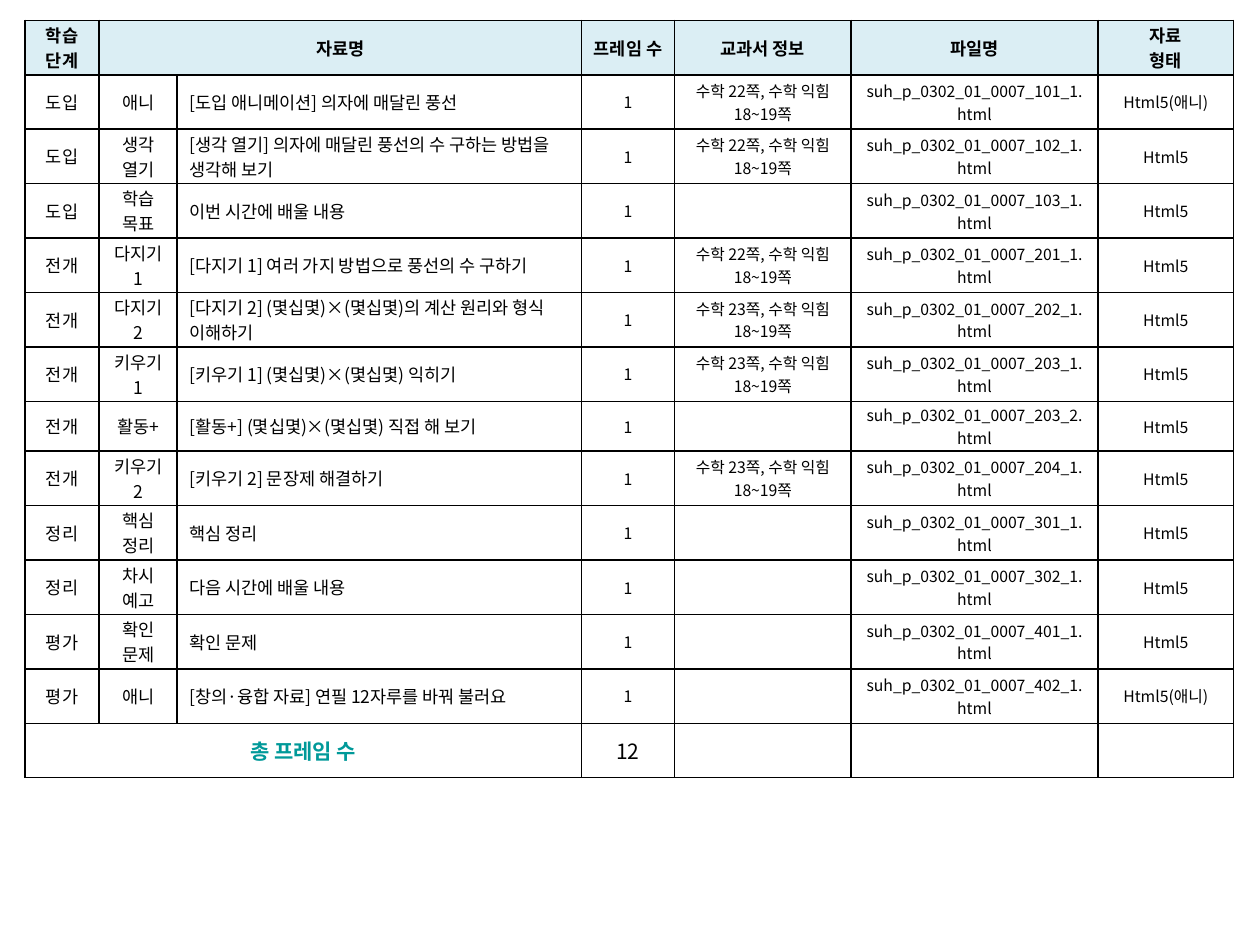
"""Build a slide listing the lesson materials of a mathematics unit in one table."""
from dataclasses import dataclass
from typing import Optional

import pptx
import pptx.dml.color
import pptx.enum.text
import pptx.oxml
import pptx.oxml.ns
import pptx.util

EMU_PER_PX = 914400 // 192
CENTER = pptx.enum.text.PP_ALIGN.CENTER
LEFT = pptx.enum.text.PP_ALIGN.LEFT


@dataclass(frozen=True)
class Theme:
    font: str = "Noto Sans CJK KR"
    ink: str = "000000"
    accent: str = "009999"
    header: str = "DBEEF4"
    paper: str = "FFFFFF"
    label_size: int = 10
    detail_size: int = 9
    total_size: int = 12
    border_pt: int = 1


@dataclass(frozen=True)
class Style:
    size: int
    color: str
    bold: bool = False
    align: pptx.enum.text.PP_ALIGN = CENTER
    fill: Optional[str] = None


@dataclass(frozen=True)
class Material:
    stage: str
    kind: str
    title: str
    textbook_page: Optional[int]
    file_code: str
    form: str = "Html5"

    def texts(self) -> list[str]:
        page = self.textbook_page
        textbook = f"수학 {page}쪽, 수학 익힘 18~19쪽" if page else ""
        filename = f"suh_p_0302_01_0007_{self.file_code}.html"
        return [self.stage, self.kind, self.title, "1", textbook, filename, self.form]


THEME = Theme()
TABLE_LEFT, TABLE_TOP = 38, 31
COLUMN_WIDTHS = [113, 119, 616, 142, 269, 376, 207]
ROW_HEIGHT, ACTIVITY_HEIGHT = 83, 76
SIDE_MARGIN, END_MARGIN = 19, 2

HEADINGS = ["학습 단계", "자료명", "", "프레임 수", "교과서 정보", "파일명", "자료\n형태"]
MATERIALS = [
    Material("도입", "애니", "[도입 애니메이션] 의자에 매달린 풍선", 22, "101_1", "Html5(애니)"),
    Material("도입", "생각 열기", "[생각 열기] 의자에 매달린 풍선의 수 구하는 방법을 생각해 보기", 22, "102_1"),
    Material("도입", "학습 목표", "이번 시간에 배울 내용", None, "103_1"),
    Material("전개", "다지기 1", "[다지기 1] 여러 가지 방법으로 풍선의 수 구하기", 22, "201_1"),
    Material("전개", "다지기 2", "[다지기 2] (몇십몇)×(몇십몇)의 계산 원리와 형식 이해하기", 23, "202_1"),
    Material("전개", "키우기1", "[키우기 1] (몇십몇)×(몇십몇) 익히기", 23, "203_1"),
    Material("전개", "활동+", "[활동+] (몇십몇)×(몇십몇) 직접 해 보기", None, "203_2"),
    Material("전개", "키우기2", "[키우기 2] 문장제 해결하기", 23, "204_1"),
    Material("정리", "핵심 정리", "핵심 정리", None, "301_1"),
    Material("정리", "차시 예고", "다음 시간에 배울 내용", None, "302_1"),
    Material("평가", "확인 문제", "확인 문제", None, "401_1"),
    Material("평가", "애니", "[창의·융합 자료] 연필 12자루를 바꿔 불러요", None, "402_1", "Html5(애니)"),
]
TOTALS = ["총 프레임 수", "", "", str(len(MATERIALS)), "", "", ""]

HEADING = Style(THEME.label_size, THEME.ink, bold=True, fill=THEME.header)
TOTAL_LABEL = Style(THEME.total_size, THEME.accent, bold=True, fill=THEME.paper)
TOTAL_VALUE = Style(THEME.total_size, THEME.ink, fill=THEME.paper)


def px(length: int) -> pptx.util.Emu:
    return pptx.util.Emu(length * EMU_PER_PX)


def material_styles(material: Material) -> list[Style]:
    fill = THEME.paper if material.stage == "평가" else None
    label = Style(THEME.label_size, THEME.ink, fill=fill)
    title = Style(THEME.label_size, THEME.ink, align=LEFT, fill=fill)
    detail = Style(THEME.detail_size, THEME.ink, fill=fill)
    return [label, label, title] + [detail] * 4


def add_borders(cell: pptx.table._Cell) -> None:
    properties = cell._tc.get_or_add_tcPr()
    for side in ("lnL", "lnR", "lnT", "lnB"):
        properties.append(pptx.oxml.parse_xml(
            f'<a:{side} {pptx.oxml.ns.nsdecls("a")} w="{pptx.util.Pt(THEME.border_pt)}">'
            f'<a:solidFill><a:srgbClr val="{THEME.ink}"/></a:solidFill></a:{side}>'))


def style_paragraph(paragraph: pptx.text.text._Paragraph, style: Style) -> None:
    paragraph.alignment = style.align
    font = paragraph.font
    font.name = THEME.font
    font.size = pptx.util.Pt(style.size)
    font.bold = style.bold
    font.color.rgb = pptx.dml.color.RGBColor.from_string(style.color)
    font._rPr.append(pptx.oxml.parse_xml(
        f'<a:ea {pptx.oxml.ns.nsdecls("a")} typeface="{THEME.font}"/>'))


def fill_cell(cell: pptx.table._Cell, text: str, style: Style) -> None:
    add_borders(cell)
    if style.fill:
        cell.fill.solid()
        cell.fill.fore_color.rgb = pptx.dml.color.RGBColor.from_string(style.fill)
    else:
        cell.fill.background()
    cell.vertical_anchor = pptx.enum.text.MSO_ANCHOR.MIDDLE
    cell.margin_left = cell.margin_right = px(SIDE_MARGIN)
    cell.margin_top = cell.margin_bottom = px(END_MARGIN)
    cell.text_frame.text = text
    for paragraph in cell.text_frame.paragraphs:
        style_paragraph(paragraph, style)


def add_materials_table(slide: pptx.slide.Slide) -> None:
    lines = [(HEADINGS, [HEADING] * len(HEADINGS))]
    lines += [(material.texts(), material_styles(material)) for material in MATERIALS]
    lines.append((TOTALS, [TOTAL_LABEL] * 3 + [TOTAL_VALUE] * 4))
    heights = [ROW_HEIGHT] + [
        ACTIVITY_HEIGHT if material.kind == "활동+" else ROW_HEIGHT for material in MATERIALS
    ] + [ROW_HEIGHT]

    table = slide.shapes.add_table(
        len(lines), len(COLUMN_WIDTHS), px(TABLE_LEFT), px(TABLE_TOP),
        px(sum(COLUMN_WIDTHS)), px(sum(heights))).table
    table.first_row = table.horz_banding = False
    for column, width in zip(table.columns, COLUMN_WIDTHS):
        column.width = px(width)
    for row, height, (texts, styles) in zip(table.rows, heights, lines):
        row.height = px(height)
        for cell, text, style in zip(row.cells, texts, styles):
            fill_cell(cell, text, style)
    last = len(lines) - 1
    table.cell(0, 1).merge(table.cell(0, 2))
    table.cell(last, 0).merge(table.cell(last, 2))


def main() -> None:
    deck = pptx.Presentation()
    deck.slide_width, deck.slide_height = px(1920), px(1440)
    add_materials_table(deck.slides.add_slide(deck.slide_layouts[6]))
    deck.save("out.pptx")


if __name__ == "__main__":
    main()
